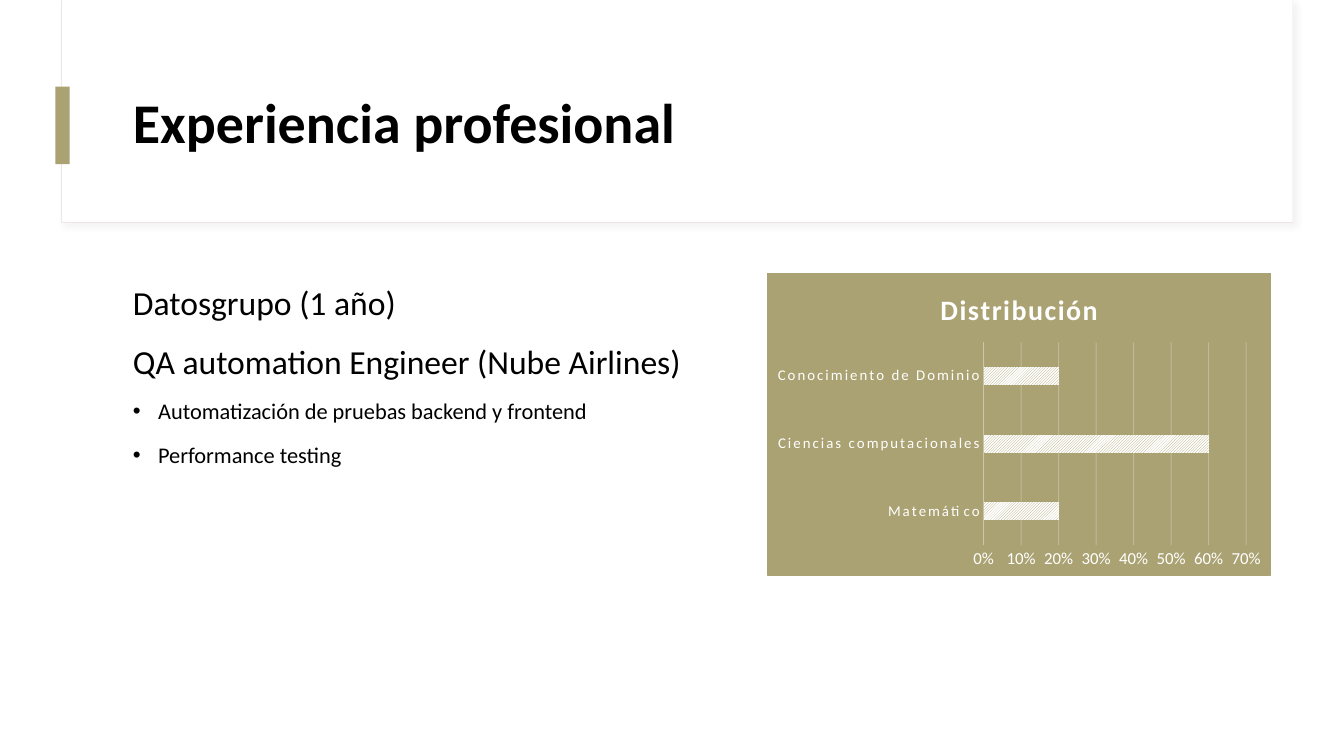
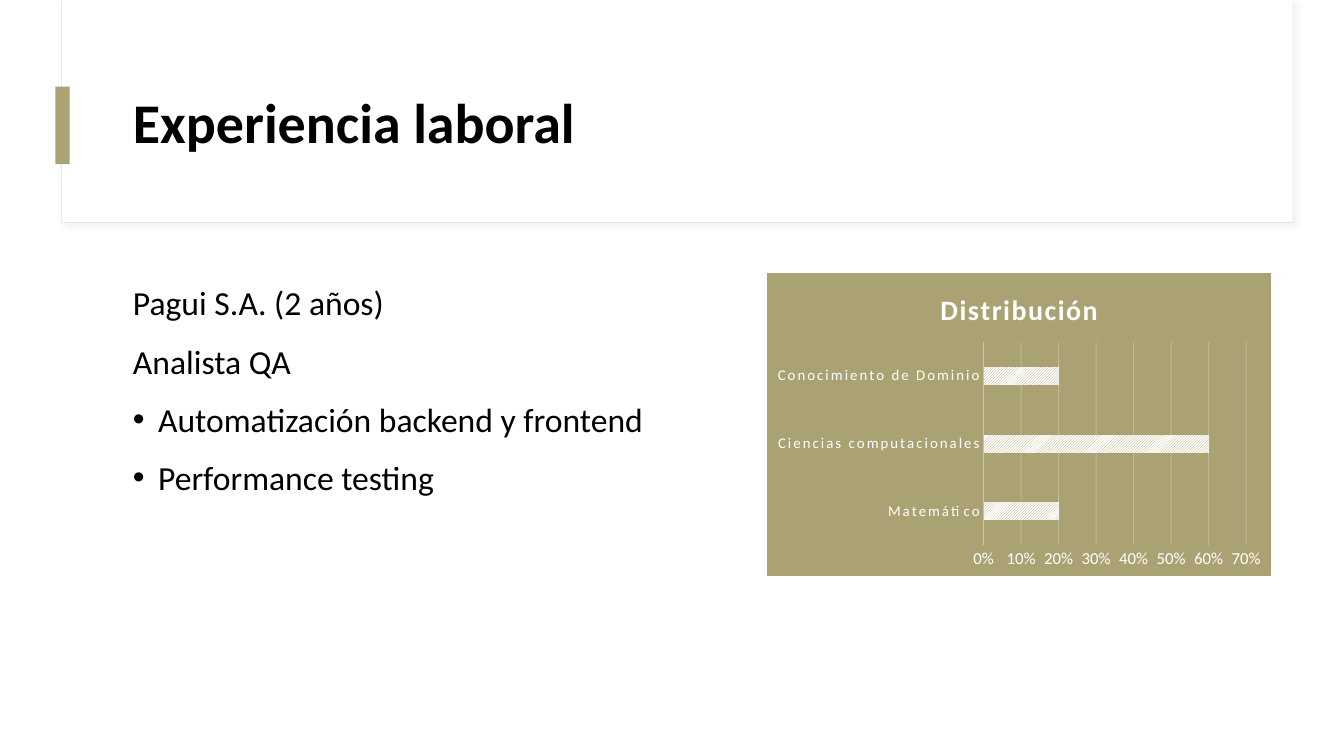
from lxml import etree
from pptx import Presentation
from pptx.chart.data import CategoryChartData
from pptx.dml.color import RGBColor
from pptx.enum.chart import XL_CHART_TYPE, XL_TICK_MARK
from pptx.enum.dml import MSO_PATTERN
from pptx.enum.shapes import MSO_SHAPE
from pptx.enum.text import MSO_ANCHOR
from pptx.oxml import parse_xml
from pptx.oxml.ns import nsdecls, qn
from pptx.util import Inches, Pt

FONT = "Calibri"
BLACK, WHITE, OLIVE = "000000", "FFFFFF", "AAA272"
FRAME_LINE, AXIS_LINE, SHADOW = "F0E5E5", "CCC7AA", "D9D9D9"

# Each body line: text, size, bulleted
SLIDES = [
    {
        "title": "Experiencia profesional",
        "body": [
            ("Datosgrupo (1 año)", 24, False),
            ("QA automation Engineer (Nube Airlines)", 24, False),
            ("Automatización de pruebas backend y frontend", 16, True),
            ("Performance testing", 16, True),
        ],
    },
    {
        "title": "Experiencia laboral",
        "body": [
            ("Pagui S.A. (2 años)", 24, False),
            ("Analista QA", 24, False),
            ("Automatización backend y frontend", 24, True),
            ("Performance testing", 24, True),
        ],
    },
]
CHART_TITLE = "Distribución"
DISTRIBUTION = {
    "Matemático": 0.2,
    "Ciencias computacionales": 0.6,
    "Conocimiento de Dominio": 0.2,
}


def rgb(color):
    return RGBColor.from_string(color)


def box(*lengths):
    return [Inches(length) for length in lengths]


def style_font(font, size, color, bold=False):
    font.name, font.size, font.bold = FONT, Pt(size), bold
    font.color.rgb = rgb(color)


def add_rectangle(slide, place, color):
    rectangle = slide.shapes.add_shape(MSO_SHAPE.RECTANGLE, *box(*place))
    rectangle.shadow.inherit = False
    rectangle.fill.solid()
    rectangle.fill.fore_color.rgb = rgb(color)
    rectangle.line.fill.background()
    return rectangle


def add_header(slide):
    frame = add_rectangle(slide, (0.61, 0, 12.21, 2.21), WHITE)
    frame.line.color.rgb = rgb(FRAME_LINE)
    frame.line.width = Pt(0.75)
    effects = frame._element.spPr.find(qn("a:effectLst"))
    shadow = etree.SubElement(effects, qn("a:outerShdw"), blurRad=str(Pt(4)),
                              dist=str(Pt(3)), dir=str(45 * 60000))
    shade = etree.SubElement(shadow, qn("a:srgbClr"), val=SHADOW)
    etree.SubElement(shade, qn("a:alpha"), val="30000")
    add_rectangle(slide, (0.62, 0, 12.2, 2.2), WHITE)
    add_rectangle(slide, (0.55, 0.86, 0.14, 0.77), OLIVE)


def add_text_frame(slide, place):
    text_frame = slide.shapes.add_textbox(*box(*place)).text_frame
    text_frame.word_wrap = True
    return text_frame


def add_title(slide, title):
    text_frame = add_text_frame(slide, (1.22, 0.6, 11.12, 1.29))
    text_frame.vertical_anchor = MSO_ANCHOR.MIDDLE
    paragraph = text_frame.paragraphs[0]
    paragraph.text = title
    paragraph.line_spacing = 0.9
    style_font(paragraph.font, 40, BLACK, bold=True)


def add_bullet(paragraph):
    properties = paragraph._p.get_or_add_pPr()
    properties.set("marL", str(Inches(0.25)))
    properties.set("indent", str(-Inches(0.25)))
    etree.SubElement(properties, qn("a:buFont"), typeface="Arial")
    etree.SubElement(properties, qn("a:buChar"), char="•")


def add_body(slide, lines):
    text_frame = add_text_frame(slide, (1.22, 2.71, 11.12, 4.04))
    for index, (text, size, bulleted) in enumerate(lines):
        paragraph = text_frame.add_paragraph() if index else text_frame.paragraphs[0]
        paragraph.text = text
        paragraph.line_spacing = 1.1
        if index:
            paragraph.space_before = Pt(10)
        if bulleted:
            add_bullet(paragraph)
        style_font(paragraph.font, size, BLACK)


def fill_chart_area(chart, color):
    paint = f'<a:solidFill><a:srgbClr val="{color}"/></a:solidFill>'
    area = parse_xml(f'<c:spPr {nsdecls("c", "a")}>{paint}'
                     f'<a:ln w="{Pt(0.75)}">{paint}</a:ln></c:spPr>')
    chart._chartSpace.find(qn("c:txPr")).addprevious(area)


def style_axes(chart):
    categories, values = chart.category_axis, chart.value_axis
    for axis, size in ((categories, 10.6), (values, 12)):
        axis.major_tick_mark = axis.minor_tick_mark = XL_TICK_MARK.NONE
        style_font(axis.tick_labels.font, size, WHITE)
    categories._element.find(".//" + qn("a:defRPr")).set("spc", "150")
    categories.format.line.color.rgb = rgb(AXIS_LINE)
    categories.format.line.width = Pt(0.25)

    values.format.line.fill.background()
    values.tick_labels.number_format = "0%"
    values.tick_labels.number_format_is_linked = False
    grid = values.major_gridlines.format.line
    grid.color.rgb = rgb(WHITE)
    grid.width = Pt(0.75)
    grid_color = values._element.find(qn("c:majorGridlines")).find(".//" + qn("a:srgbClr"))
    etree.SubElement(grid_color, qn("a:alpha"), val="25000")


def add_distribution_chart(slide):
    data = CategoryChartData(number_format="0%")
    data.categories = list(DISTRIBUTION)
    data.add_series("Series 1", list(DISTRIBUTION.values()))
    chart = slide.shapes.add_chart(
        XL_CHART_TYPE.BAR_CLUSTERED, *box(7.61, 2.71, 5, 3), data).chart
    style_font(chart.font, 10, BLACK)
    fill_chart_area(chart, OLIVE)
    chart.has_legend = False

    chart.has_title = True
    heading = chart.chart_title.text_frame.paragraphs[0]
    heading.text = CHART_TITLE
    style_font(heading.font, 20, WHITE, bold=True)
    run = heading.runs[0]
    style_font(run.font, 20, WHITE, bold=True)
    run._r.get_or_add_rPr().set("spc", "100")
    chart.chart_title.include_in_layout = False

    style_axes(chart)
    plot = chart.plots[0]
    plot.gap_width, plot.overlap = 269, -20
    plot.vary_by_categories = False
    bars = plot.series[0].format.fill
    bars.patterned()
    bars.pattern = MSO_PATTERN.LIGHT_UPWARD_DIAGONAL
    bars.fore_color.rgb = rgb(OLIVE)
    bars.back_color.rgb = rgb(WHITE)


def main():
    presentation = Presentation()
    presentation.slide_width, presentation.slide_height = box(13.33, 7.5)
    for content in SLIDES:
        slide = presentation.slides.add_slide(presentation.slide_layouts[6])
        add_header(slide)
        add_title(slide, content["title"])
        add_body(slide, content["body"])
        add_distribution_chart(slide)
    presentation.save("out.pptx")


if __name__ == "__main__":
    main()
